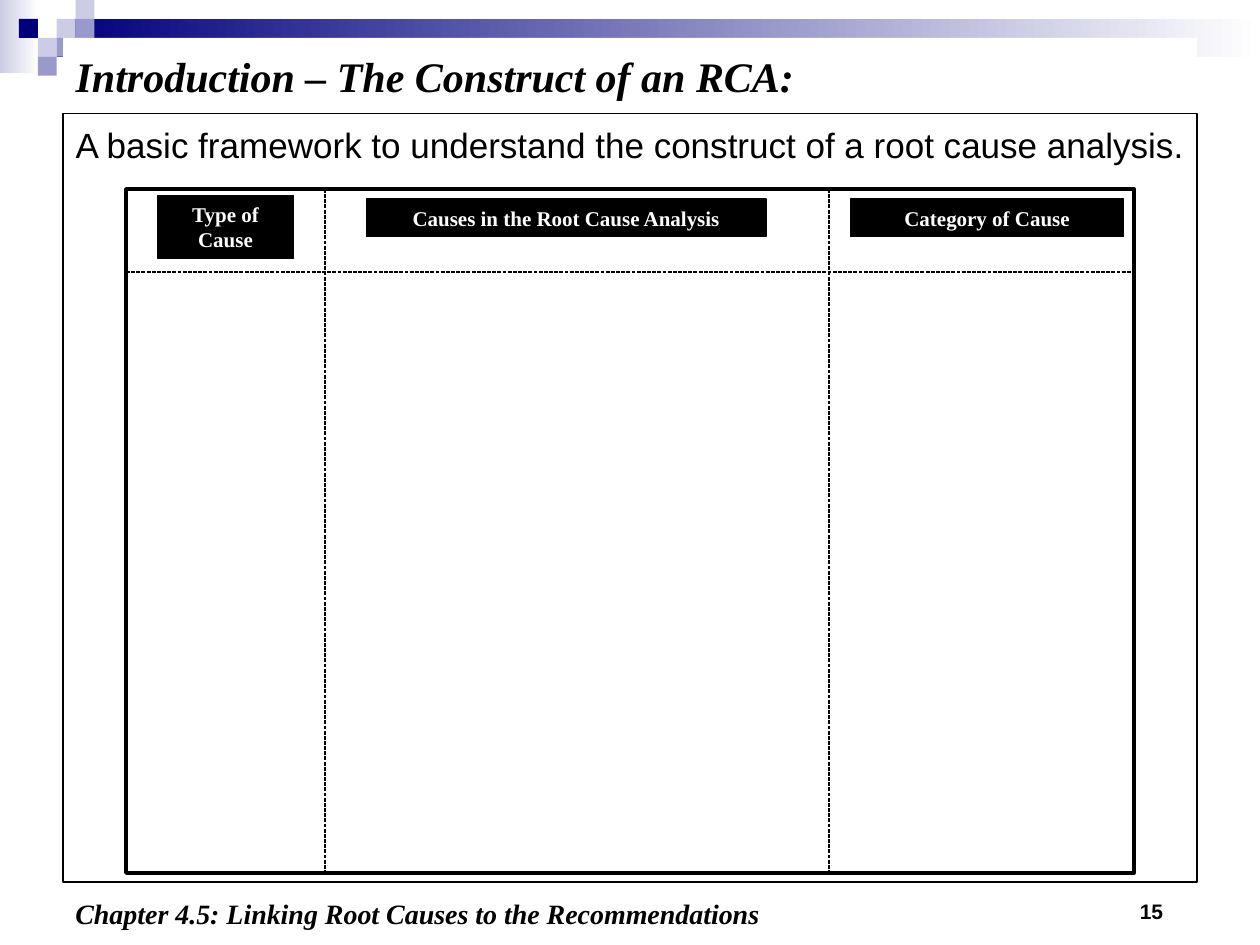
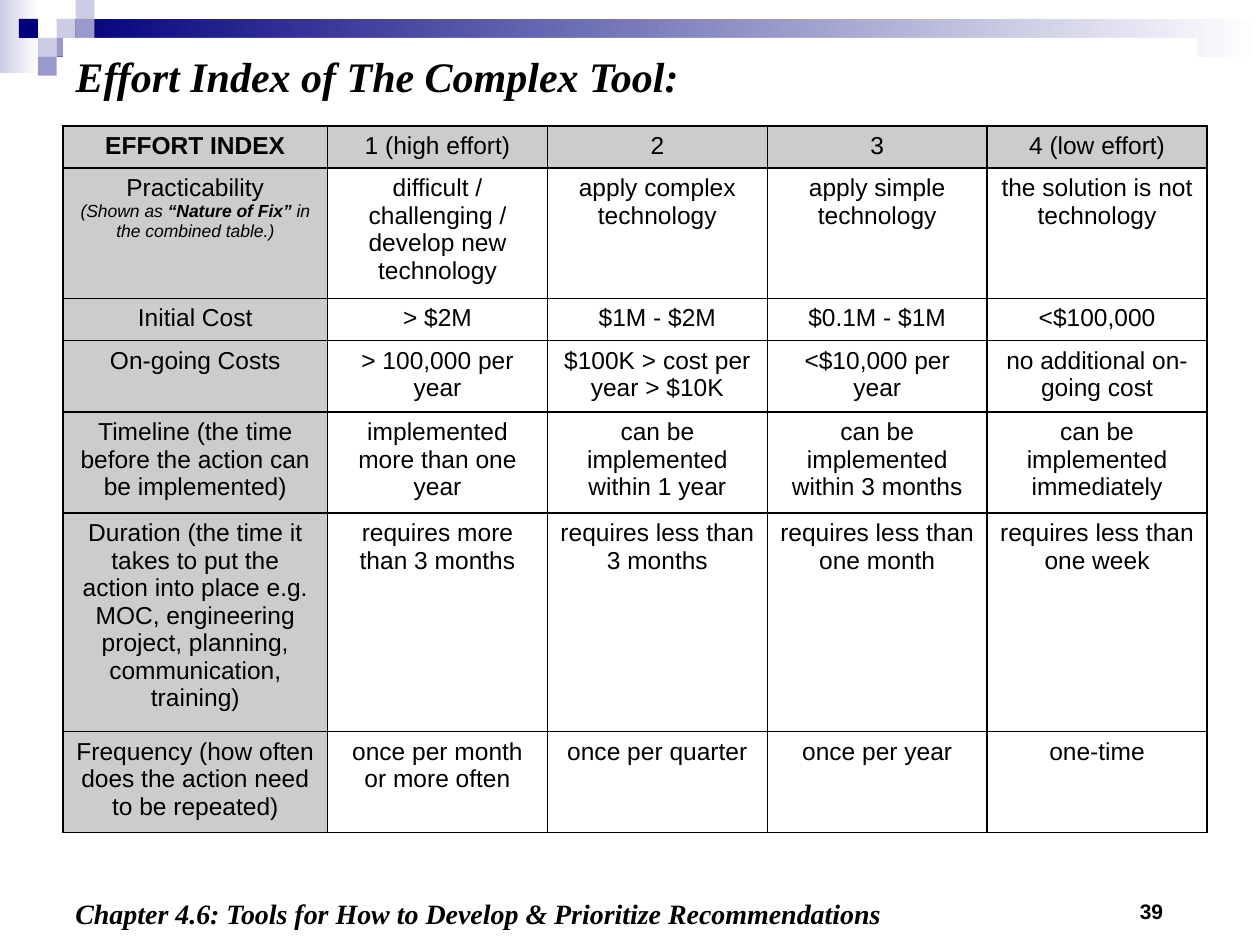
from dataclasses import dataclass

from lxml import etree
from pptx import Presentation
from pptx import util as u
from pptx.dml.color import RGBColor
from pptx.enum import dml, shapes, text
from pptx.oxml.ns import qn


@dataclass(frozen=True)
class Theme:
    black: str = "000000"
    white: str = "FFFFFF"
    navy: str = "00007D"
    violet: str = "9999CC"
    lilac: str = "CCCCE6"
    grey: str = "CCCCCC"
    serif: str = "Times New Roman"
    sans: str = "Arial"
    title: int = 24
    lead: int = 20
    footer: int = 16
    cell: int = 14
    label: int = 12
    note: int = 10


T = Theme()
prs = Presentation()
prs.slide_width, prs.slide_height = u.Inches(10), u.Inches(7.5)
G = prs.slide_width / 20


def write(p, words, font=T.sans, size=T.cell, color=T.black, bold=False,
          italic=False, align=text.PP_ALIGN.LEFT, leading=1.0):
    p.alignment, p.line_spacing = align, leading
    p.space_before = u.Pt(0)
    r = p.add_run()
    r.text = words
    r.font.name, r.font.size = font, u.Pt(size)
    r.font.bold, r.font.italic = bold, italic
    r.font.color.rgb = RGBColor.from_string(color)


def rect(sl, cells, fill, fade=None, line=None):
    sp = sl.shapes.add_shape(shapes.MSO_SHAPE.RECTANGLE, *[round(c * G) for c in cells])
    sp.shadow.inherit = False
    if fade:
        sp.fill.gradient()
        sp.fill.gradient_angle = 0
        for stop, color in zip(sp.fill.gradient_stops, (fill, fade)):
            stop.color.rgb = RGBColor.from_string(color)
    else:
        sp.fill.solid()
        sp.fill.fore_color.rgb = RGBColor.from_string(fill)
    if line:
        sp.line.color.rgb = RGBColor.from_string(T.black)
        sp.line.width = u.Pt(line)
    else:
        sp.line.fill.background()
    return sp


pages = [
    (1, "Introduction – The Construct of an RCA:", "15",
     "Chapter 4.5: Linking Root Causes to the Recommendations"),
    (5, "Effort Index of The Complex Tool:", "39",
     "Chapter 4.6: Tools for How to Develop & Prioritize Recommendations"),
]
slides = []
for layout, heading, number, chapter in pages:
    sl = prs.slides.add_slide(prs.slide_layouts[layout])
    slides.append(sl)
    title = sl.shapes.title
    title.left, title.top, title.width, title.height = [round(c * G) for c in (1, 0.6, 18, 1.2)]
    title.fill.solid()
    title.fill.fore_color.rgb = RGBColor.from_string(T.white)
    tf = title.text_frame
    tf.auto_size = text.MSO_AUTO_SIZE.NONE
    tf.vertical_anchor = text.MSO_ANCHOR.MIDDLE
    write(tf.paragraphs[0], heading, font=T.serif, size=T.title, bold=True, italic=True)

    for cells, words, fmt in [
        ((16.66, 14.16, 2, 0.5), number,
         dict(size=T.label, bold=True, align=text.PP_ALIGN.RIGHT)),
        ((1, 14.2, 13.4, 0.8), chapter,
         dict(font=T.serif, size=T.footer, bold=True, italic=True, leading=0.9)),
    ]:
        tf = sl.shapes.add_textbox(*[round(c * G) for c in cells]).text_frame
        tf.word_wrap = True
        write(tf.paragraphs[0], words, **fmt)

framework, effort = slides

TILE = 0.3
band = [
    rect(framework, (0, 0, 0.62, 1.16), T.lilac, fade=T.white),
    rect(framework, (0.9, TILE, 19.1, 2 * TILE), T.navy, fade=T.white),
]
for col, row, color in [(3, 1, T.lilac), (4, 0, T.lilac), (4, 1, T.violet), (2, 2, T.lilac),
                        (1, 1, T.navy), (3, 2, T.violet), (2, 3, T.violet)]:
    band.append(rect(framework, (col * TILE, row * TILE, TILE, TILE), color))
master = prs.slide_master.shapes.element
for i, sp in enumerate(band):
    sp.element.nvSpPr.cNvPr.set("id", str(100 + i))
    master.insert(2 + i, sp.element)

body = framework.placeholders[1]
body.left, body.top, body.width, body.height = [round(c * G) for c in (1, 1.8, 18, 12.2)]
body.fill.solid()
body.fill.fore_color.rgb = RGBColor.from_string(T.white)
clr = body.element.spPr.find(qn("a:solidFill"))[0]
etree.SubElement(clr, qn("a:alpha")).set("val", "70000")
body.line.color.rgb = RGBColor.from_string(T.black)
body.line.width = u.Pt(0.75)
tf = body.text_frame
tf.auto_size = text.MSO_AUTO_SIZE.NONE
tf.margin_right = 0
p = tf.paragraphs[0]
pPr = p._p.get_or_add_pPr()
pPr.set("marL", str(round(G)))
pPr.set("indent", str(round(-G)))
etree.SubElement(pPr, qn("a:buNone"))
write(p, "A basic framework to understand the construct of a root cause analysis.",
      size=T.lead, leading=1.1)

left, top, right, bottom = 2, 3, 18, 13.86
rect(framework, (left, top, right - left, bottom - top), T.white, line=2)
for cells, words in [
    ((5.82, 3.16, 6.34, 0.6), "Causes in the Root Cause Analysis"),
    ((13.5, 3.16, 4.34, 0.6), "Category of Cause"),
    ((2.5, 3.1, 2.16, 1), "Type of Cause"),
]:
    tf = rect(framework, cells, T.black, line=0.75).text_frame
    tf.word_wrap = True
    tf.vertical_anchor = text.MSO_ANCHOR.MIDDLE
    write(tf.paragraphs[0], words, font=T.serif, size=T.label, color=T.white,
          bold=True, align=text.PP_ALIGN.CENTER)

for ends in [(5.16, top, 5.16, bottom), (left, 4.32, right, 4.32), (13.16, top, 13.16, bottom)]:
    cx = framework.shapes.add_connector(shapes.MSO_CONNECTOR.STRAIGHT,
                                        *[round(c * G) for c in ends])
    cx.line.color.rgb = RGBColor.from_string(T.black)
    cx.line.width = u.Pt(0.75)
    cx.line.dash_style = dml.MSO_LINE.SQUARE_DOT
    etree.SubElement(cx.element.spPr, qn("a:effectLst"))

rows = [
    (0.66, ["EFFORT INDEX", "1 (high effort)", "2", "3", "4 (low effort)"]),
    (2.06, ["Practicability", "difficult / challenging / develop new technology",
            "apply complex technology", "apply simple technology",
            "the solution is not technology"]),
    (0.66, ["Initial Cost", "> $2M", "$1M - $2M", "$0.1M - $1M", "<$100,000"]),
    (1.14, ["On-going Costs", "> 100,000 per year", "$100K > cost per year > $10K",
            "<$10,000 per year", "no additional on-going cost"]),
    (1.6, ["Timeline (the time before the action can be implemented)",
           "implemented more than one year", "can be implemented within 1 year",
           "can be implemented within 3 months", "can be implemented immediately"]),
    (3.46, ["Duration (the time it takes to put the action into place e.g. MOC, "
            "engineering project, planning, communication, training)",
            "requires more than 3 months", "requires less than 3 months",
            "requires less than one month", "requires less than one week"]),
    (1.6, ["Frequency (how often does the action need to be repeated)",
           "once per month or more often", "once per quarter", "once per year", "one-time"]),
]
widths = [4.2] + [3.49] * 4
size = (sum(widths), sum(h for h, _ in rows))
table = effort.shapes.add_table(len(rows), len(widths),
                                *[round(c * G) for c in (1, 2, *size)]).table
table.first_row = table.horz_banding = False
for col, width in zip(table.columns, widths):
    col.width = round(width * G)
for i, (height, words) in enumerate(rows):
    table.rows[i].height = round(height * G)
    for j, entry in enumerate(words):
        cell = table.cell(i, j)
        write(cell.text_frame.paragraphs[0], entry, bold=i == j == 0,
              align=text.PP_ALIGN.CENTER)
        tcPr = cell._tc.get_or_add_tcPr()
        for side in ("lnL", "lnR", "lnT", "lnB"):
            ln = etree.SubElement(tcPr, qn(f"a:{side}"), w=str(u.Pt(1)))
            solid = etree.SubElement(ln, qn("a:solidFill"))
            etree.SubElement(solid, qn("a:srgbClr"), val=T.black)
        cell.fill.solid()
        cell.fill.fore_color.rgb = RGBColor.from_string(T.grey if 0 in (i, j) else T.white)

p = table.cell(1, 0).text_frame.add_paragraph()
for words, bold in [("(Shown as ", False), ("“Nature of Fix” ", True),
                    ("in the combined table.)", False)]:
    write(p, words, size=T.note, bold=bold, italic=True, align=text.PP_ALIGN.CENTER)

prs.save("out.pptx")
